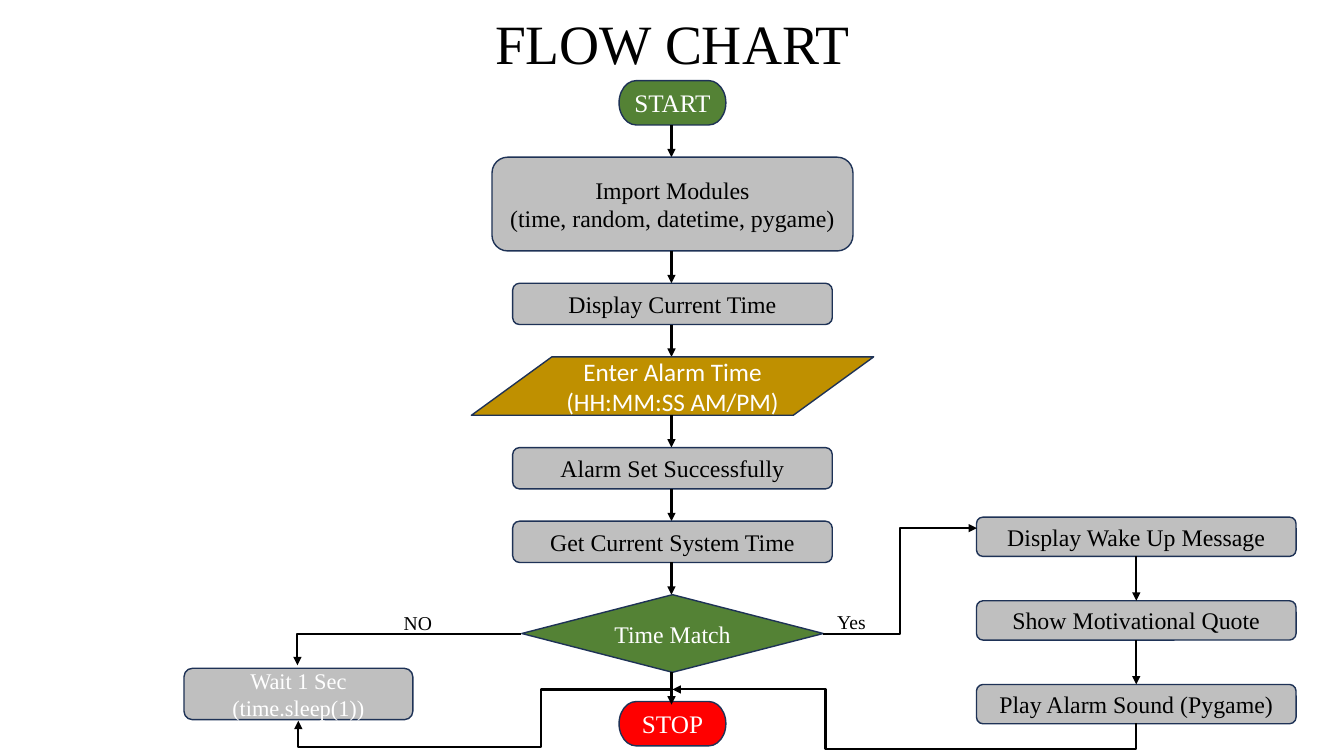
from lxml.etree import SubElement
from pptx import Presentation
from pptx.dml.color import RGBColor
from pptx.enum.shapes import MSO_CONNECTOR as Connector, MSO_SHAPE as Shape
from pptx.enum.text import MSO_ANCHOR as Anchor, PP_ALIGN as Align
from pptx.oxml.ns import qn
from pptx.util import Inches, Pt

COLORS = {"black": "000000", "white": "FFFFFF", "outline": "1E3256",
          "gray": "BFBFBF", "green": "548235", "gold": "BF9000", "red": "FF0000"}
SERIF, SANS = "Times New Roman", "Calibri"
PROCESS = Shape.FLOWCHART_ALTERNATE_PROCESS
TERMINATOR = Shape.FLOWCHART_TERMINATOR

CENTER, TOP, GAP = 6.67, 0.8, 0.32
ARROW_X = 6.66
# lines, preset, width, height, fill, text colour, size, font
MAIN_STEPS = [
    (["START"], TERMINATOR, 1.06, 0.44, "green", "white", 18, SERIF),
    (["Import Modules", "(time, random, datetime, pygame)"],
     PROCESS, 3.58, 0.93, "gray", "black", 17, SERIF),
    (["Display Current Time"], PROCESS, 3.17, 0.41, "gray", "black", 17, SERIF),
    (["Enter Alarm Time", "(HH:MM:SS AM/PM)"],
     Shape.FLOWCHART_DATA, 3.99, 0.58, "gold", "white", 18, SANS),
    (["Alarm Set Successfully"], PROCESS, 3.17, 0.41, "gray", "black", 17, SERIF),
    (["Get Current System Time"], PROCESS, 3.17, 0.41, "gray", "black", 17, SERIF),
    (["Time Match"], Shape.FLOWCHART_DECISION, 2.99, 0.77, "green", "white", 17, SERIF),
]
STOP = (["STOP"], TERMINATOR, 1.06, 0.44, "red", "white", 18, SERIF)
STOP_TOP = 6.96
WAIT = (["Wait 1 Sec", "(time.sleep(1))"], PROCESS, 2.27, 0.51, "gray", "white", 16, SERIF)
WAIT_CENTER, WAIT_TOP = 2.96, 6.63

ALARM_STEPS = ["Display Wake Up Message", "Show Motivational Quote", "Play Alarm Sound (Pygame)"]
ALARM_CENTER, ALARM_TOP, ALARM_PITCH, ALARM_HEIGHT = 11.27, 5.13, 0.83, 0.39

# start, end, preset, adjustments, end that carries the arrowhead
BRANCHES = [
    ((8.16, 6.29), (9.69, 5.24), "bentConnector3", [0.5], "tailEnd"),
    ((5.17, 6.29), (2.95, 6.6), "bentConnector2", [], "tailEnd"),
    ((6.66, 6.84), (2.96, 7.15), "bentConnector4", [0.35, 1.85], "tailEnd"),
    ((6.67, 6.84), (11.27, 7.17), "bentConnector4", [0.33, 1.79], "headEnd"),
]
LABELS = [("NO", 3.62, 6.01), ("Yes", 7.92, 6.0)]


def color(name):
    return RGBColor.from_string(COLORS[name])


def write(box, lines, size, font, text_color, anchor=Anchor.MIDDLE):
    frame = box.text_frame
    frame.word_wrap = True
    frame.vertical_anchor = anchor
    frame.text = "\n".join(lines)
    for para in frame.paragraphs:
        para.alignment = Align.CENTER
        para.font.size = Pt(size)
        para.font.name = font
        para.font.color.rgb = color(text_color)


def add_text(page, text, left, top, width, height, size, anchor):
    box = page.shapes.add_textbox(Inches(left), Inches(top), Inches(width), Inches(height))
    write(box, [text], size, SERIF, "black", anchor)
    return box


def add_step(page, step, center, top):
    lines, preset, width, height, fill, text_color, size, font = step
    box = page.shapes.add_shape(preset, Inches(center - width / 2), Inches(top),
                                Inches(width), Inches(height))
    box.shadow.inherit = False
    box.fill.solid()
    box.fill.fore_color.rgb = color(fill)
    box.line.color.rgb = color("outline")
    box.line.width = Pt(1)
    write(box, lines, size, font, text_color)


def add_arrow(page, start, end, kind=Connector.STRAIGHT, head="tailEnd"):
    arrow = page.shapes.add_connector(kind, *map(Inches, start + end))
    arrow.line.color.rgb = color("black")
    arrow.line.width = Pt(1.5)
    properties = arrow.element.spPr
    SubElement(properties.find(qn("a:ln")), qn("a:" + head), type="triangle")
    SubElement(properties, qn("a:effectLst"))
    return arrow


def add_branch(page, start, end, preset, adjustments, head):
    """Draw an elbow arrow whose bends sit at the given fractions of its size."""
    arrow = add_arrow(page, start, end, Connector.ELBOW, head)
    geometry = arrow.element.spPr.find(qn("a:prstGeom"))
    geometry.set("prst", preset)
    guides = geometry.find(qn("a:avLst"))
    for number, value in enumerate(adjustments, 1):
        SubElement(guides, qn("a:gd"), name=f"adj{number}", fmla=f"val {round(value * 100000)}")


def main():
    deck = Presentation()
    deck.slide_width, deck.slide_height = Inches(13.33), Inches(7.5)
    page = deck.slides.add_slide(deck.slide_layouts[6])

    title = add_text(page, "FLOW CHART", 0.92, 0.18, 11.5, 0.56, 39.6, Anchor.MIDDLE)
    title.text_frame.paragraphs[0].line_spacing = 0.9

    add_step(page, STOP, CENTER, STOP_TOP)
    add_step(page, WAIT, WAIT_CENTER, WAIT_TOP)

    top = TOP
    for step in MAIN_STEPS:
        add_step(page, step, CENTER, top)
        bottom = top + step[3]
        top = bottom + GAP
        add_arrow(page, (ARROW_X, bottom), (ARROW_X, top))

    for index, text in enumerate(ALARM_STEPS):
        top = ALARM_TOP + index * ALARM_PITCH
        step = ([text], PROCESS, 3.17, ALARM_HEIGHT, "gray", "black", 17, SERIF)
        add_step(page, step, ALARM_CENTER, top)
        if index:
            add_arrow(page, (ALARM_CENTER, top - ALARM_PITCH + ALARM_HEIGHT), (ALARM_CENTER, top))

    for branch in BRANCHES:
        add_branch(page, *branch)
    for text, left, top in LABELS:
        add_text(page, text, left, top, 1.05, 0.35, 14, Anchor.TOP)

    deck.save("out.pptx")


if __name__ == "__main__":
    main()
